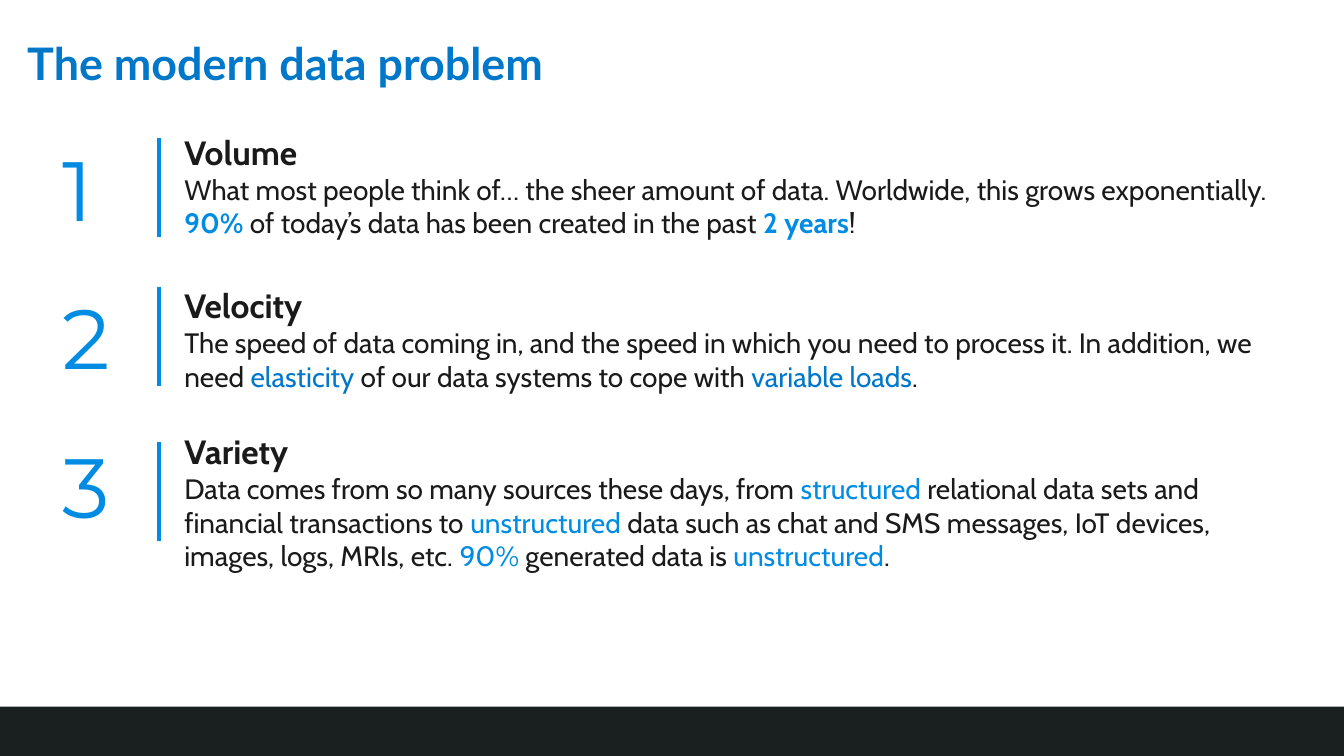
"""Build the slide on the three Vs of the modern data problem."""
from dataclasses import dataclass

from lxml.etree import SubElement
from pptx import Presentation
from pptx.dml.color import RGBColor
from pptx.enum.shapes import MSO_CONNECTOR, MSO_SHAPE
from pptx.enum.text import MSO_ANCHOR, MSO_AUTO_SIZE, PP_ALIGN
from pptx.oxml.ns import qn
from pptx.util import Inches, Pt


@dataclass(frozen=True)
class Theme:
    ink: RGBColor = RGBColor(0x1A, 0x1A, 0x1A)
    bright: RGBColor = RGBColor(0x00, 0x8C, 0xE2)
    deep: RGBColor = RGBColor(0x00, 0x77, 0xC8)
    footer: RGBColor = RGBColor(0x1A, 0x1F, 0x20)
    title_size: Pt = Pt(32)
    number_size: Pt = Pt(60)
    heading_size: Pt = Pt(24)
    body_size: Pt = Pt(20)


theme = Theme()
body = {"name": "Cabin", "size": theme.body_size, "bold": False}
styles = {
    "title": ({"name": "Lato", "size": theme.title_size, "bold": True}, theme.deep),
    "number": ({"name": "Montserrat", "size": theme.number_size}, theme.bright),
    "heading": ({**body, "size": theme.heading_size, "bold": True}, theme.ink),
    "plain": (body, theme.ink),
    "bright": (body, theme.bright),
    "deep": (body, theme.deep),
    "strong": ({**body, "bold": True}, theme.bright),
}


def add_span(para, text, style):
    span = para.add_run()
    span.text = text
    font_format, color = styles[style]
    for name, value in font_format.items():
        setattr(span.font, name, value)
    span.font.color.rgb = color


def add_box(left, top, width, height, wrap):
    box = page.shapes.add_textbox(Inches(left), Inches(top), Inches(width), Inches(height))
    box.text_frame.word_wrap = wrap
    box.text_frame.auto_size = MSO_AUTO_SIZE.SHAPE_TO_FIT_TEXT
    return box.text_frame.paragraphs[0]


deck = Presentation()
deck.slide_width, deck.slide_height = Inches(13.33), Inches(7.5)
page = deck.slides.add_slide(deck.slide_layouts[5])

footer = page.shapes.add_shape(
    MSO_SHAPE.RECTANGLE, Inches(0), Inches(7.01), Inches(13.33), Inches(0.49))
footer.shadow.inherit = False
footer.fill.solid()
footer.fill.fore_color.rgb = theme.footer
footer.line.fill.background()

title = page.shapes.title
title.left, title.top = Inches(0.17), Inches(-0.07)
title.width, title.height = Inches(10.96), Inches(1.45)
frame_format = {
    "word_wrap": True,
    "auto_size": MSO_AUTO_SIZE.NONE,
    "vertical_anchor": MSO_ANCHOR.MIDDLE,
}
for name, value in frame_format.items():
    setattr(title.text_frame, name, value)
title_para = title.text_frame.paragraphs[0]
title_para.alignment = PP_ALIGN.LEFT
title_para.line_spacing = 0.9
add_span(title_para, "The modern data problem", "title")

sections = [
    ("Volume", 1.31, 1.37, (1.26, 11.29, 1.18), [
        ("What most people think of… the sheer amount of data. "
         "Worldwide, this grows exponentially. ", "plain"),
        ("90%", "strong"),
        (" of today’s data has been created in the past ", "plain"),
        ("2 years", "strong"),
        ("!", "plain"),
    ]),
    ("Velocity", 2.78, 2.85, (2.78, 10.9, 1.18), [
        ("The speed of data coming in, and the speed in which you need "
         "to process it. In addition, we need ", "plain"),
        ("elasticity", "deep"),
        (" of our data systems to cope with ", "plain"),
        ("variable loads", "deep"),
        (".", "plain"),
    ]),
    ("Variety", 4.26, 4.39, (4.23, 10.9, 1.51), [
        ("Data comes from so many sources these days, from ", "plain"),
        ("structured", "bright"),
        (" relational data sets and financial transactions to ", "plain"),
        ("unstructured", "bright"),
        (" data such as chat and SMS messages, IoT devices, images, "
         "logs, MRIs, etc. ", "plain"),
        ("90%", "bright"),
        (" generated data is ", "plain"),
        ("unstructured", "bright"),
        (".", "plain"),
    ]),
]

for number, (heading, number_top, bar_top, text_place, spans) in enumerate(sections, 1):
    bar = page.shapes.add_connector(
        MSO_CONNECTOR.STRAIGHT,
        Inches(1.58), Inches(bar_top), Inches(1.58), Inches(bar_top + 0.98))
    bar.line.color.rgb = theme.bright
    bar.line.width = Pt(3)
    SubElement(bar.element.spPr, qn("a:effectLst"))

    add_span(add_box(0.52, number_top, 0.66, 1.11, False), str(number), "number")

    para = add_box(1.73, *text_place, True)
    add_span(para, heading, "heading")
    para.add_line_break()
    for text, style in spans:
        add_span(para, text, style)

deck.save("out.pptx")
